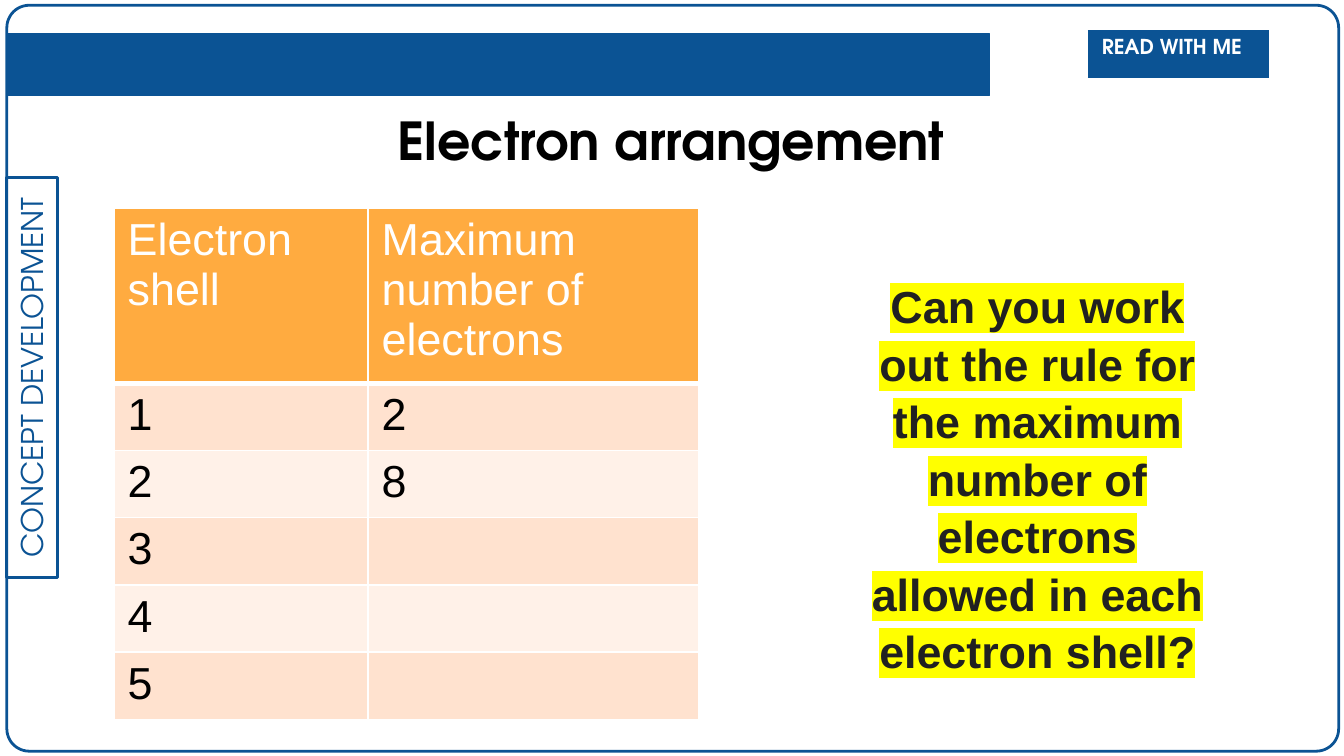
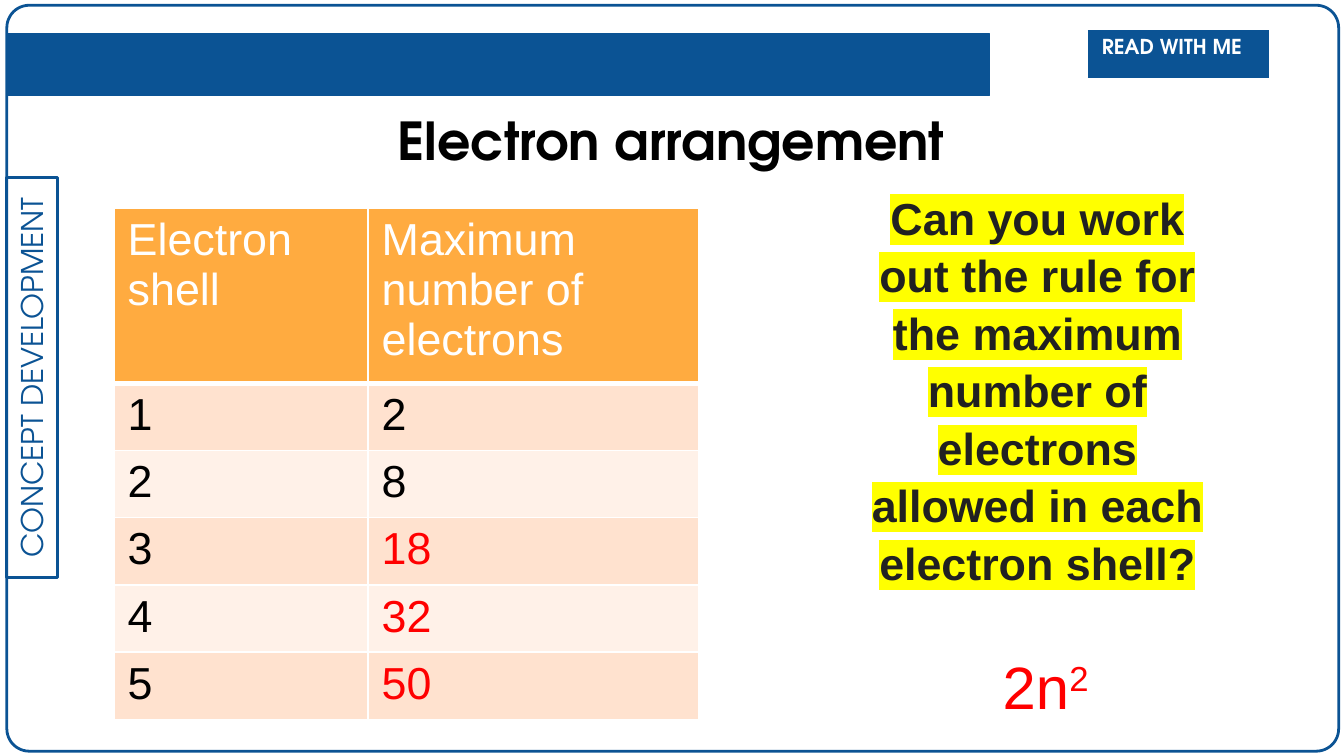
from dataclasses import dataclass
from typing import Optional

from lxml.etree import SubElement
from pptx import Presentation
from pptx.dml.color import RGBColor
from pptx.enum.shapes import MSO_SHAPE as Preset
from pptx.enum.text import MSO_ANCHOR as Anchor, MSO_AUTO_SIZE as AutoSize, PP_ALIGN as Align
from pptx.oxml.ns import qn
from pptx.util import Cm, Pt

BLUE, WHITE, BLACK, RED = "0B5394", "FFFFFF", "000000", "FF0000"
ORANGE, PEACH, CREAM = "FFAB40", "FFE2CF", "FFF1E8"
INK, YELLOW = "212121", "FFFF00"
HEADING_FONT, BODY_FONT = "TeX Gyre Adventor", "Arial"

QUESTION = ("Can you work out the rule for the maximum number of electrons "
            "allowed in each electron shell?")
SHELLS = range(1, 6)
GIVEN_SHELLS = 2


@dataclass(frozen=True)
class Area:
    left: float
    top: float
    width: float
    height: float

    def lengths(self) -> tuple:
        return Cm(self.left), Cm(self.top), Cm(self.width), Cm(self.height)


@dataclass(frozen=True)
class TextStyle:
    font: str
    size: float
    color: str
    bold: bool = False


@dataclass(frozen=True)
class Panel:
    preset: Preset
    area: Area
    line_width: float
    fill: Optional[str] = None
    rotation: float = 0
    corner: Optional[float] = None
    text: str = ""


@dataclass(frozen=True)
class Lesson:
    solved: bool
    question_area: Area


PANELS = [
    Panel(Preset.ROUNDED_RECTANGLE, Area(0.13, 0.1, 25.17, 14.1), 1.5, corner=0.03),
    Panel(Preset.RECTANGLE, Area(-3.18, 6.65, 7.57, 0.97), 1.5, rotation=270,
          text="CONCEPT DEVELOPMENT"),
    Panel(Preset.RECTANGLE, Area(0.13, 0.64, 18.57, 1.17), 0.75, fill=BLUE),
]
TITLE_AREA = Area(7.26, 1.91, 11.96, 1.45)
TAG_AREA = Area(20.57, 0.58, 3.4, 0.88)
LABEL_STYLE = TextStyle(HEADING_FONT, 16, BLUE)
TAG_STYLE = TextStyle(HEADING_FONT, 11, WHITE, True)
TITLE_STYLE = TextStyle(HEADING_FONT, 28, BLACK, True)
HEADER_STYLE = TextStyle(BODY_FONT, 24, WHITE)
CELL_STYLE = TextStyle(BODY_FONT, 24, BLACK)
ANSWER_STYLE = TextStyle(BODY_FONT, 24, RED)
QUESTION_STYLE = TextStyle(BODY_FONT, 24, INK, True)
FORMULA_STYLE = TextStyle(BODY_FONT, 32, RED)

LESSONS = [
    Lesson(False, Area(15.82, 5.08, 7.57, 7.44)),
    Lesson(True, Area(15.82, 3.4, 7.57, 9.83)),
]


def rgb(color: str) -> RGBColor:
    return RGBColor.from_string(color)


def style_paragraph(para, style: TextStyle, align: Align = Align.LEFT) -> None:
    para.alignment = align
    font = para.font
    font.name, font.size, font.bold = style.font, Pt(style.size), style.bold
    font.color.rgb = rgb(style.color)


def add_panel(page, panel: Panel) -> None:
    shape = page.shapes.add_shape(panel.preset, *panel.area.lengths())
    shape.shadow.inherit = False
    shape.rotation = panel.rotation
    shape.line.color.rgb = rgb(BLUE)
    shape.line.width = Pt(panel.line_width)
    if panel.corner is not None:
        shape.adjustments[0] = panel.corner
    if panel.fill:
        shape.fill.solid()
        shape.fill.fore_color.rgb = rgb(panel.fill)
    else:
        shape.fill.background()
    if panel.text:
        frame = shape.text_frame
        frame.vertical_anchor = Anchor.MIDDLE
        frame.text = panel.text
        style_paragraph(frame.paragraphs[0], LABEL_STYLE, Align.CENTER)


def add_title(page, text: str) -> None:
    title = page.shapes.title
    title.left, title.top, title.width, title.height = TITLE_AREA.lengths()
    frame = title.text_frame
    frame.text = text
    frame.word_wrap = True
    frame.auto_size = AutoSize.SHAPE_TO_FIT_TEXT
    frame.vertical_anchor = Anchor.TOP
    style_paragraph(frame.paragraphs[0], TITLE_STYLE)


def fill_cell(cell, text: str, style: TextStyle, fill: str, border: str,
              width: float = 1, bottom_width: float = 1) -> None:
    properties = cell._tc.get_or_add_tcPr()
    for side in ("L", "R", "T", "B"):
        points = bottom_width if side == "B" else width
        line = SubElement(properties, qn(f"a:ln{side}"), w=str(Pt(points)))
        SubElement(SubElement(line, qn("a:solidFill")), qn("a:srgbClr"), val=border)
    cell.fill.solid()
    cell.fill.fore_color.rgb = rgb(fill)
    cell.text = text
    style_paragraph(cell.text_frame.paragraphs[0], style)


def add_tag(page, text: str) -> None:
    table = page.shapes.add_table(1, 1, *TAG_AREA.lengths()).table
    cell = table.cell(0, 0)
    cell.margin_top, cell.margin_bottom = Cm(0.16), Cm(0.25)
    fill_cell(cell, text, TAG_STYLE, BLUE, BLUE, 0.75, 0.75)


def add_shell_table(page, solved: bool) -> None:
    """Shell n holds at most 2n² electrons; later shells stay empty until solved."""
    area = Area(2.16, 3.94, 11.05, 9.63)
    table = page.shapes.add_table(len(SHELLS) + 1, 2, *area.lengths()).table
    for column, width in zip(table.columns, (4.8, 6.25)):
        column.width = Cm(width)
    for index, row in enumerate(table.rows):
        row.height = Cm(1.27 if index else 3.28)
    for column, heading in enumerate(("Electron shell", "Maximum number of electrons")):
        fill_cell(table.cell(0, column), heading, HEADER_STYLE, ORANGE, WHITE, bottom_width=3)
    for shell in SHELLS:
        given = shell <= GIVEN_SHELLS
        maximum = str(2 * shell ** 2) if given or solved else ""
        fill = PEACH if shell % 2 else CREAM
        fill_cell(table.cell(shell, 0), str(shell), CELL_STYLE, fill, WHITE)
        fill_cell(table.cell(shell, 1), maximum,
                  CELL_STYLE if given else ANSWER_STYLE, fill, WHITE)


def add_question(page, lesson: Lesson) -> None:
    frame = page.shapes.add_textbox(*lesson.question_area.lengths()).text_frame
    frame.word_wrap = True
    frame.auto_size = AutoSize.SHAPE_TO_FIT_TEXT
    para = frame.paragraphs[0]
    para.line_spacing = 1.07
    span = para.add_run()
    span.text = QUESTION
    highlight = SubElement(span._r.get_or_add_rPr(), qn("a:highlight"))
    SubElement(highlight, qn("a:srgbClr"), val=YELLOW)
    style_paragraph(para, QUESTION_STYLE, Align.CENTER)
    if lesson.solved:
        formula = frame.add_paragraph()
        formula.line_spacing = 1.07
        formula.space_before = Pt(30)
        formula.add_run().text = " 2n"
        power = formula.add_run()
        power.text = "2"
        power._r.get_or_add_rPr().set("baseline", "30000")
        style_paragraph(formula, FORMULA_STYLE, Align.CENTER)


def add_lesson(deck, lesson: Lesson) -> None:
    page = deck.slides.add_slide(deck.slide_layouts.get_by_name("Title Only"))
    for panel in PANELS:
        add_panel(page, panel)
    add_tag(page, "READ WITH ME")
    add_title(page, "Electron arrangement")
    add_shell_table(page, lesson.solved)
    add_question(page, lesson)


def main() -> None:
    deck = Presentation()
    deck.slide_width, deck.slide_height = Cm(25.4), Cm(14.29)
    for lesson in LESSONS:
        add_lesson(deck, lesson)
    deck.save("out.pptx")


if __name__ == "__main__":
    main()
